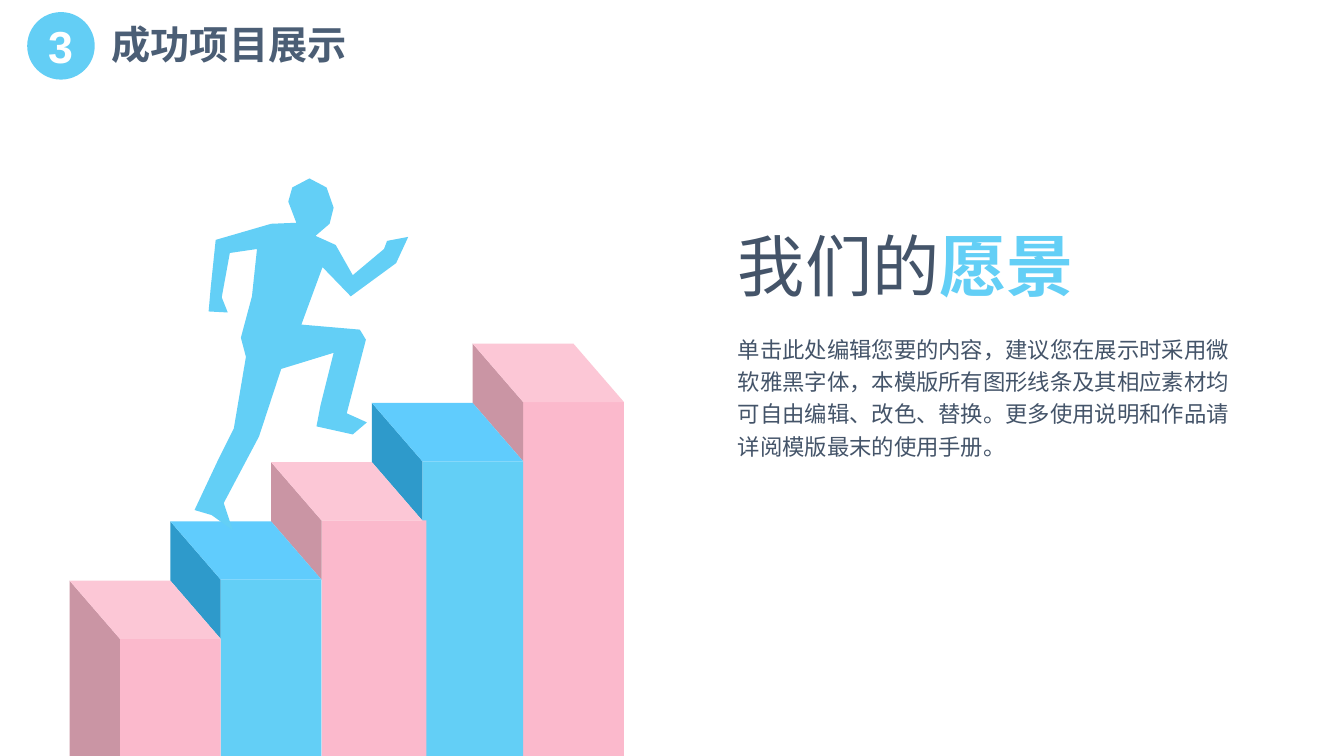
from lxml import etree
from pptx import Presentation
from pptx import util as u
from pptx.dml.color import RGBColor
from pptx.enum import shapes, text
from pptx.oxml import ns

# Grid of 160 columns by 90 rows with square cells
COLUMNS, ROWS = 160, 90
CELL = u.Inches(1) / 12

SKY = RGBColor(0x63, 0xCF, 0xF6)
SKY_TOP = RGBColor(0x60, 0xCC, 0xFD)
SKY_SIDE = RGBColor(0x2E, 0x9A, 0xCB)
PINK = RGBColor(0xFB, 0xB9, 0xCC)
PINK_TOP = RGBColor(0xFC, 0xC7, 0xD6)
PINK_SIDE = RGBColor(0xCA, 0x95, 0xA4)
BADGE = RGBColor(0x00, 0xB0, 0xF0)
HEADING = RGBColor(0x4B, 0x5E, 0x75)
SLATE = RGBColor(0x44, 0x54, 0x69)
WHITE = RGBColor(0xFF, 0xFF, 0xFF)

STEP_COLORS = [(PINK, PINK_TOP, PINK_SIDE), (SKY, SKY_TOP, SKY_SIDE)]
STEP_COUNT = 5

# Runner outline on a field of 213 by 353 units
RUNNER_FIELD = (213, 353)
RUNNER = [
    # Front arm, head and back arm
    (191, 63), (188, 71), (157, 97), (140, 67), (120, 58), (134, 46), (138, 30),
    (131, 10), (114, 1), (97, 10), (93, 24), (101, 45), (76, 46), (21, 62),
    (16, 110), (14, 133), (33, 134), (27, 119), (35, 75), (62, 71),
    # Back and rear leg
    (57, 118), (46, 159), (51, 178), (39, 249), (24, 279), (0, 330), (17, 335),
    (38, 350), (29, 323), (64, 257), (86, 190),
    # Front leg, chest and forearm
    (138, 174), (125, 226), (121, 247), (157, 255), (171, 243), (151, 234),
    (170, 161), (164, 151), (106, 146), (127, 89), (155, 118), (200, 85), (212, 59),
]


def cells(*lengths):
    return [u.Emu(round(length * CELL)) for length in lengths]


def paint(shape, color):
    shape.shadow.inherit = False
    shape.fill.solid()
    shape.fill.fore_color.rgb = color
    shape.line.fill.background()
    return shape


def add_preset(slide, kind, box, color):
    return paint(slide.shapes.add_shape(kind, *cells(*box)), color)


def add_polygon(slide, points, color):
    start, *others = [cells(*point) for point in points]
    builder = slide.shapes.build_freeform(*start, scale=1.0)
    builder.add_line_segments(others, close=True)
    return paint(builder.convert_to_shape(), color)


def add_text(slide, box, runs, size, margins=True, align=None, line_spacing=None):
    """Each run is a tuple of wording, colour and boldness."""
    frame = slide.shapes.add_textbox(*cells(*box)).text_frame
    frame.word_wrap = True
    frame.auto_size = text.MSO_AUTO_SIZE.SHAPE_TO_FIT_TEXT
    if not margins:
        frame.margin_left = frame.margin_right = 0
        frame.margin_top = frame.margin_bottom = 0
    paragraph = frame.paragraphs[0]
    paragraph.alignment = align
    paragraph.line_spacing = line_spacing
    for wording, color, bold in runs:
        run = paragraph.add_run()
        run.text = wording
        run.font.name = "Arial"
        run.font.size = u.Pt(size)
        run.font.bold = bold
        run.font.color.rgb = color


def add_header(slide, left, top, width, height):
    circle = add_preset(slide, shapes.MSO_SHAPE.OVAL, (left, top, height, height), BADGE)
    color = circle.element.find(".//" + ns.qn("a:srgbClr"))
    etree.SubElement(color, ns.qn("a:alpha")).set("val", "61000")
    add_text(slide, (left + 0.84, top + 0.24, 6.24, 7.68), [("3", WHITE, True)], 32,
             align=text.PP_ALIGN.CENTER)
    add_text(slide, (left + 8.88, top + 0.36, width - 8.88, 6.84),
             [("成功项目展示", HEADING, True)], 28)


def add_stairs(slide, left, top, width, height):
    tread = width / (STEP_COUNT + 0.5)
    depth_x, depth_y, rise = tread / 2, 6.94, 7.05
    bottom = top + height
    for step in reversed(range(STEP_COUNT)):
        front, upper, side = STEP_COLORS[step % 2]
        x, y = left + step * tread, top + (STEP_COUNT - 1 - step) * rise
        front_x, front_y = x + depth_x, y + depth_y
        side_height = rise if step else bottom - front_y
        # The middle front is slightly wider than the others
        front_width = tread + (0.5 if step == STEP_COUNT // 2 else 0)
        add_preset(slide, shapes.MSO_SHAPE.RECTANGLE,
                   (front_x, front_y, front_width, bottom - front_y), front)
        add_polygon(slide, [(front_x, front_y), (x, y), (x, y + side_height),
                            (front_x, front_y + side_height)], side)
        add_polygon(slide, [(x + tread, y), (x, y), (front_x, front_y),
                            (front_x + tread, front_y)], upper)


def add_runner(slide, left, top, width, height):
    field_width, field_height = RUNNER_FIELD
    add_polygon(slide, [(left + x * width / field_width, top + y * height / field_height)
                        for x, y in RUNNER], SKY)


def add_vision(slide, left, top, width, height):
    add_text(slide, (left, top, width, 9.72),
             [("我们的", SLATE, False), ("愿景", SKY, True)], 48, margins=False)
    body = ("单击此处编辑您要的内容，建议您在展示时采用微软雅黑字体，"
            "本模版所有图形线条及其相应素材均可自由编辑、改色、替换。"
            "更多使用说明和作品请详阅模版最末的使用手册。")
    add_text(slide, (left, top + 12.6, 59.16, height - 12.6),
             [(body, SLATE, False)], 16, margins=False, line_spacing=1.2)


def main():
    presentation = Presentation()
    presentation.slide_width, presentation.slide_height = cells(COLUMNS, ROWS)
    slide = presentation.slides.add_slide(presentation.slide_layouts[6])
    add_stairs(slide, 8.28, 40.92, 66, 56.76)
    add_runner(slide, 23.16, 21.12, 25.56, 42.36)
    add_vision(slide, 87.84, 26.76, 67.44, 28.08)
    add_header(slide, 3.24, 1.44, 52.56, 8.04)
    presentation.save("out.pptx")


if __name__ == "__main__":
    main()
